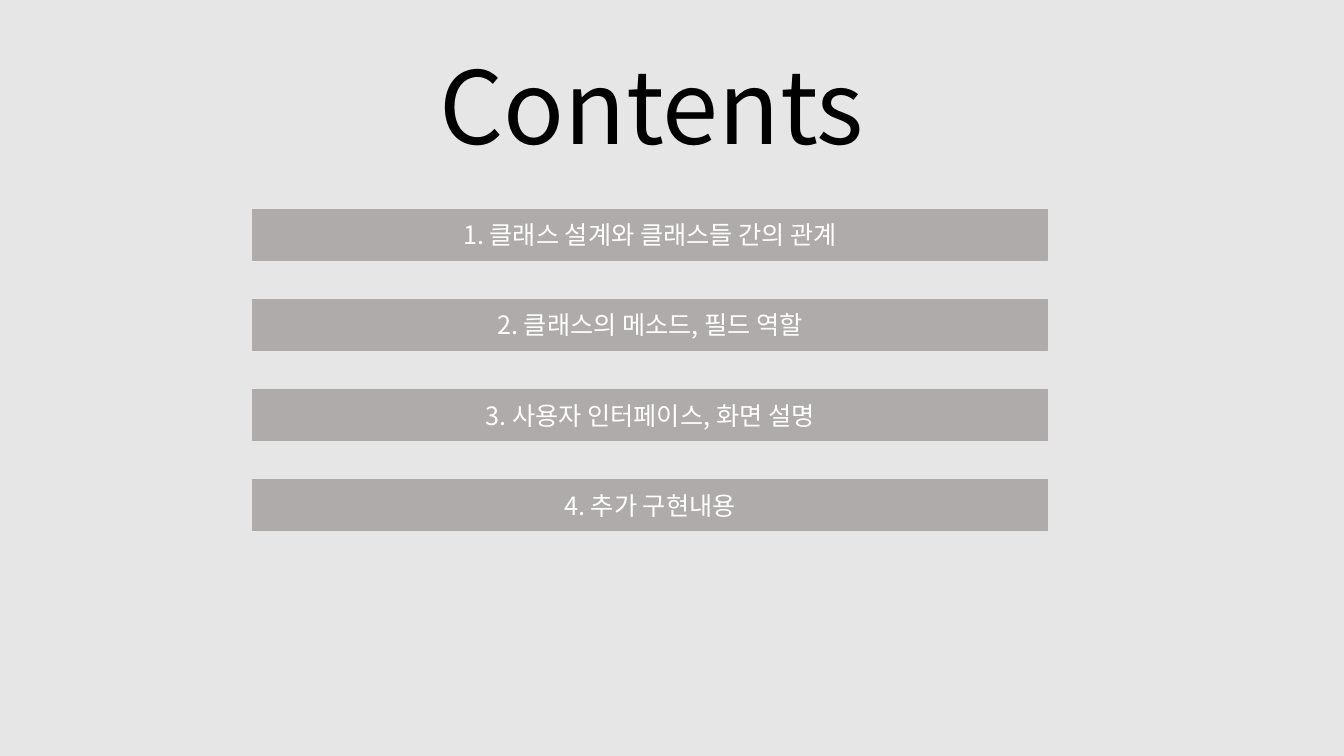
from lxml import etree
from pptx import Presentation
from pptx.dml.color import RGBColor
from pptx.enum.shapes import MSO_SHAPE
from pptx.enum.text import MSO_ANCHOR, MSO_AUTO_SIZE, PP_ALIGN
from pptx.oxml.ns import qn
from pptx.util import Pt

RECTANGLE = MSO_SHAPE.RECTANGLE
MIDDLE = MSO_ANCHOR.MIDDLE
GROW = MSO_AUTO_SIZE.SHAPE_TO_FIT_TEXT
LEFT, CENTER = PP_ALIGN.LEFT, PP_ALIGN.CENTER

FONT = "Noto Sans CJK KR"
BACKGROUND, BAR_GREY, WHITE, BLACK = "E7E6E6", "AFABAB", "FFFFFF", "000000"
BAR_LEFT, BAR_TOP, BAR_WIDTH, BAR_HEIGHT = 180.5, 149.6, 567.6, 36.2
BAR_PITCH = 64.35

TOPICS = [
    "클래스 설계와 클래스들 간의 관계",
    "클래스의 메소드, 필드 역할",
    "사용자 인터페이스, 화면 설명",
    "추가 구현내용",
]


def rgb(hex_color):
    return RGBColor.from_string(hex_color)


def write(frame, text, size, color, align=LEFT):
    """Fill a text frame with one run, using FONT for Latin and Korean."""
    paragraph = frame.paragraphs[0]
    paragraph.alignment = align
    run = paragraph.add_run()
    run.text = text
    run.font.size = Pt(size)
    run.font.name = FONT
    run.font.color.rgb = rgb(color)
    etree.SubElement(run.font._element, qn("a:ea"), typeface=FONT)


presentation = Presentation()
presentation.slide_width = Pt(960)
presentation.slide_height = Pt(540)
slide = presentation.slides.add_slide(presentation.slide_layouts[6])
slide.background.fill.solid()
slide.background.fill.fore_color.rgb = rgb(BACKGROUND)

title = slide.shapes.add_textbox(Pt(306.7), Pt(27.4), Pt(347), Pt(94.5))
title.text_frame.word_wrap = True
title.text_frame.auto_size = GROW
write(title.text_frame, "Contents", size=72, color=BLACK)

for index, topic in enumerate(TOPICS):
    bar = slide.shapes.add_shape(
        RECTANGLE, Pt(BAR_LEFT), Pt(BAR_TOP + index * BAR_PITCH),
        Pt(BAR_WIDTH), Pt(BAR_HEIGHT))
    bar.shadow.inherit = False
    bar.fill.solid()
    bar.fill.fore_color.rgb = rgb(BAR_GREY)
    bar.line.color.rgb = rgb(BAR_GREY)
    bar.line.width = Pt(1)
    bar.text_frame.word_wrap = True
    bar.text_frame.vertical_anchor = MIDDLE
    write(bar.text_frame, f"{index + 1}. {topic}", size=18, color=WHITE, align=CENTER)

presentation.save("out.pptx")
